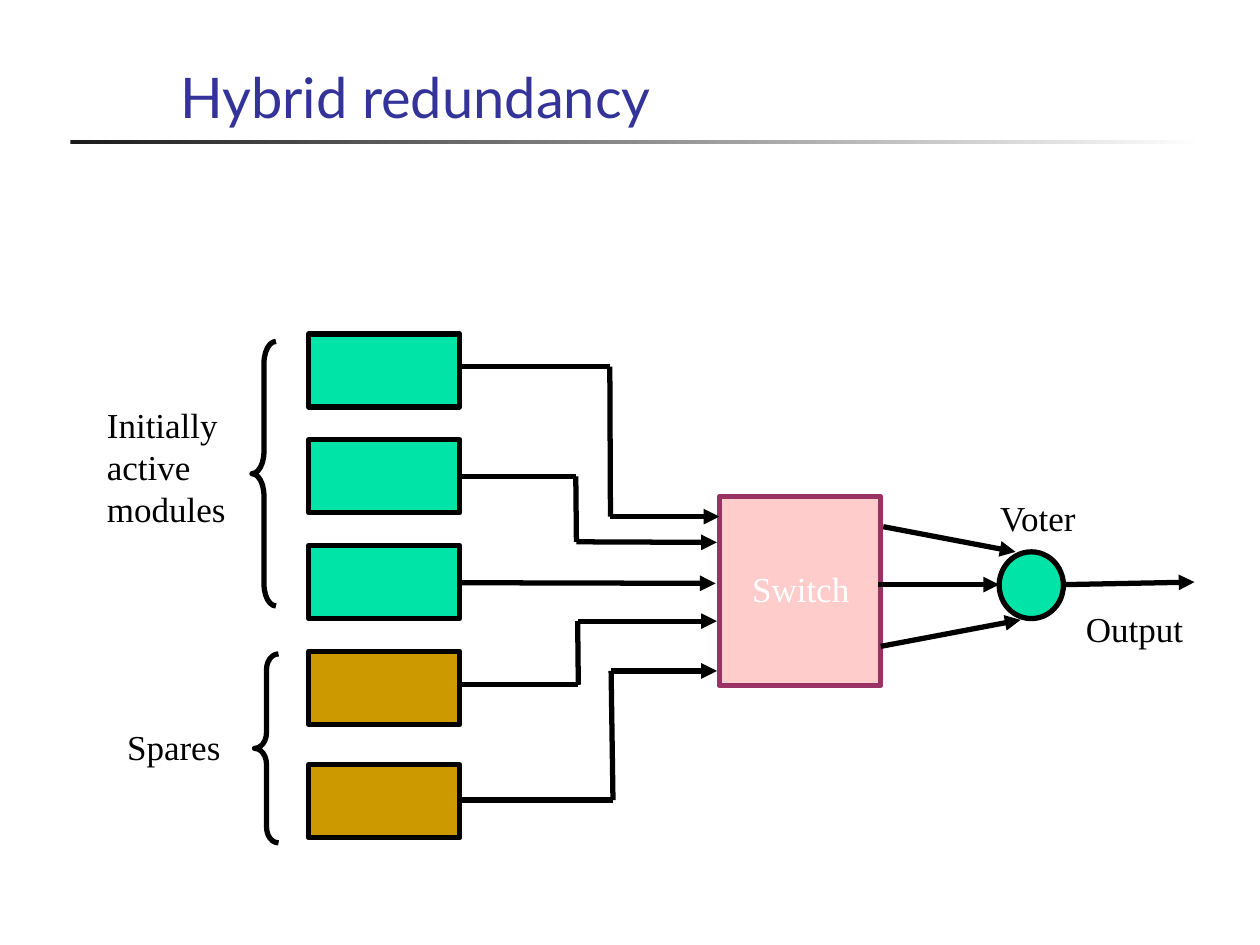
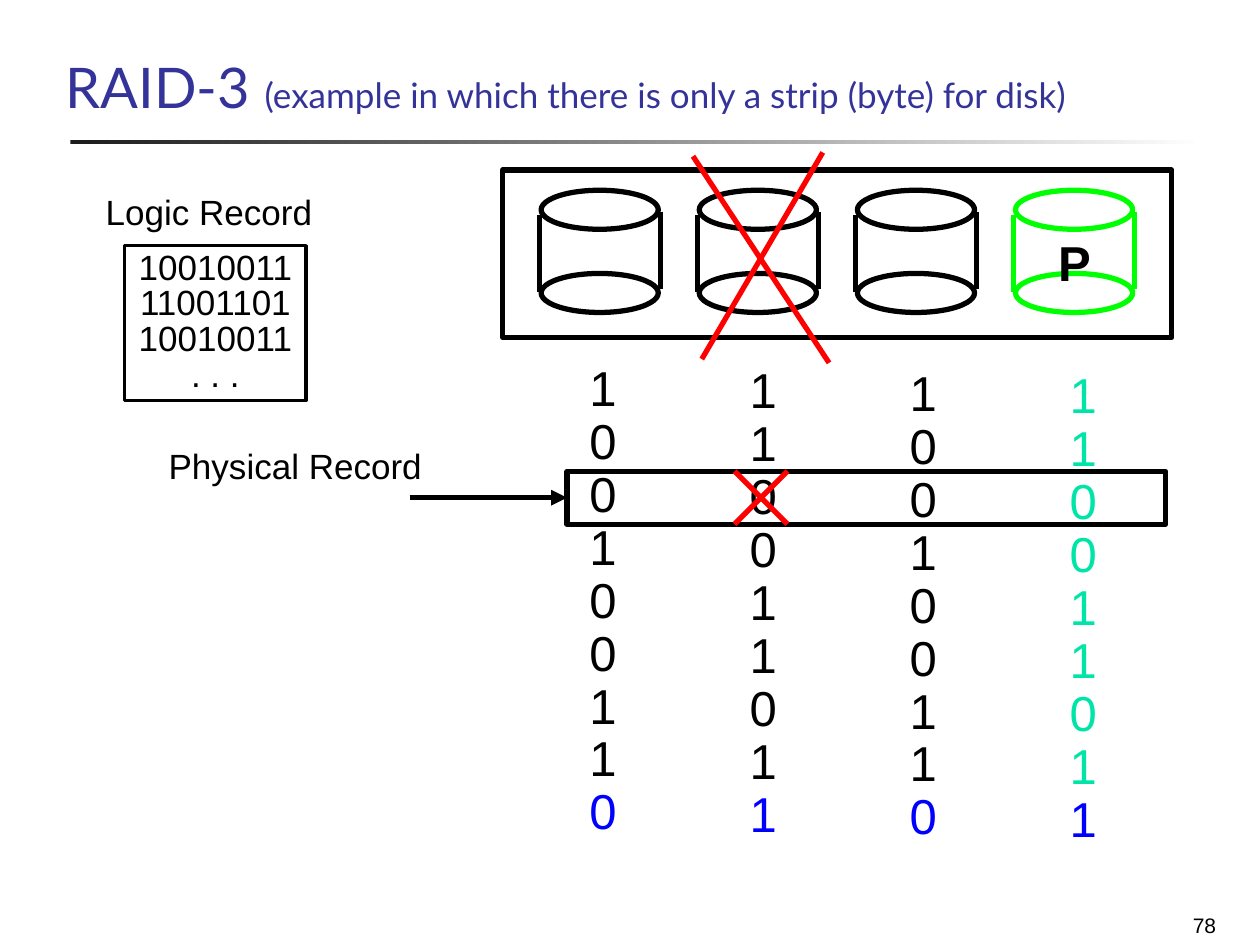
import dataclasses
import itertools
import typing

import lxml.etree
import pptx
import pptx.dml.color
import pptx.enum.shapes
import pptx.enum.text
import pptx.oxml.ns
import pptx.util

# Shared look
COLORS = {
    "title": "333399", "ink": "000000", "white": "FFFFFF", "rule": "1C1C1C",
    "active": "00E4A8", "spare": "CC9900", "switch": "FFCCCC", "switch_edge": "993366",
    "parity": "00FF00", "failed": "FF0000", "last_bit": "0000FF",
}
SANS, SERIF, TITLE = "Arial", "Times New Roman", "Lato"
SHAPES = pptx.enum.shapes.MSO_SHAPE
ALIGN = pptx.enum.text.PP_ALIGN
ANCHOR = pptx.enum.text.MSO_ANCHOR

# Grid: 100 columns by 75 rows
prs = pptx.Presentation()
prs.slide_width, prs.slide_height = pptx.util.Inches(10), pptx.util.Inches(7.5)
COL, ROW = prs.slide_width / 100, prs.slide_height / 75
Point = tuple[float, float]


@dataclasses.dataclass(frozen=True)
class Area:
    """Place on the grid: columns for left and width, rows for top and height."""
    left: float
    top: float
    width: float
    height: float

    def emu(self) -> tuple[int, int, int, int]:
        return (round(self.left * COL), round(self.top * ROW),
                round(self.width * COL), round(self.height * ROW))


@dataclasses.dataclass(frozen=True)
class Style:
    size: float
    font: str
    color: str = "ink"
    bold: bool = False
    align: typing.Any = ALIGN.LEFT
    spacing: float = 1.0


@dataclasses.dataclass(frozen=True)
class Label:
    area: Area
    lines: tuple[str, ...]
    style: Style


SERIF_LABEL = Style(20, SERIF)
SANS_LABEL = Style(20, SANS, spacing=0.85)


def rgb(name: str) -> pptx.dml.color.RGBColor:
    return pptx.dml.color.RGBColor.from_string(COLORS[name])


def apply(obj: typing.Any, values: dict[str, typing.Any]) -> None:
    for name, value in values.items():
        setattr(obj, name, value)


def add_run(p: typing.Any, text: str, style: Style) -> None:
    r = p.add_run()
    r.text = text
    apply(r.font, {"size": pptx.util.Pt(style.size), "name": style.font, "bold": style.bold})
    r.font.color.rgb = rgb(style.color)


def write(tf: typing.Any, lines: typing.Iterable[str], style: Style, last: str = "") -> None:
    """One paragraph a line; last names another colour for the final line."""
    lines = list(lines)
    tf.word_wrap = True
    for i, line in enumerate(lines):
        p = tf.add_paragraph() if i else tf.paragraphs[0]
        apply(p, {"alignment": style.align, "line_spacing": style.spacing})
        final = last and i == len(lines) - 1
        add_run(p, line, dataclasses.replace(style, color=last) if final else style)


def add_label(shapes: typing.Any, label: Label, last: str = "") -> None:
    write(shapes.add_textbox(*label.area.emu()).text_frame, label.lines, label.style, last)


def add_box(shapes: typing.Any, area: Area, fill: str = "", edge: str = "ink",
            kind: typing.Any = SHAPES.RECTANGLE, width: float = 3) -> typing.Any:
    sp = shapes.add_shape(kind, *area.emu())
    sp.shadow.inherit = False
    if fill:
        sp.fill.solid()
        sp.fill.fore_color.rgb = rgb(fill)
    else:
        sp.fill.background()
    sp.line.color.rgb = rgb(edge)
    sp.line.width = pptx.util.Pt(width)
    return sp


def add_wire(shapes: typing.Any, points: typing.Sequence[Point],
             color: str = "ink", arrow: bool = False) -> None:
    """Straight lines through the points, with an arrowhead on the last."""
    for start, end in itertools.pairwise(points):
        x1, y1, x2, y2 = (round(v) for x, y in (start, end) for v in (x * COL, y * ROW))
        line = shapes.add_connector(pptx.enum.shapes.MSO_CONNECTOR.STRAIGHT, x1, y1, x2, y2)
        line.line.color.rgb = rgb(color)
        line.line.width = pptx.util.Pt(3)
        if arrow and end == points[-1]:
            tail = lxml.etree.SubElement(line.line._get_or_add_ln(), pptx.oxml.ns.qn("a:tailEnd"))
            tail.set("type", "triangle")
        lxml.etree.SubElement(line._element.spPr, pptx.oxml.ns.qn("a:effectLst"))


def add_slide(area: Area, title: str, remark: str = "") -> typing.Any:
    """Slide with its title and the fading rule below it."""
    s = prs.slides.add_slide(prs.slide_layouts[5])
    sp = s.shapes.title
    apply(sp, dict(zip(("left", "top", "width", "height"), area.emu())))
    tf = sp.text_frame
    apply(tf, {"vertical_anchor": ANCHOR.BOTTOM, "word_wrap": True,
               "auto_size": pptx.enum.text.MSO_AUTO_SIZE.NONE})
    p = tf.paragraphs[0]
    p.alignment = ALIGN.LEFT
    add_run(p, title, Style(32, TITLE, "title"))
    if remark:
        add_run(p, remark, Style(20, TITLE, "title"))

    rule = add_box(s.shapes, Area(5.6, 11.1, 90, 0.35))
    rule.line.fill.background()
    rule.fill.gradient()
    rule.fill.gradient_angle = 0
    for stop, position, color in zip(rule.fill.gradient_stops, (0, 1), ("rule", "white")):
        stop.position = position
        stop.color.rgb = rgb(color)
    return s


# Slide 1: modules, switch and voter
@dataclasses.dataclass(frozen=True)
class Module:
    top: float
    fill: str
    wire: tuple[Point, ...]


MODULES = (
    Module(26.5, "active", ((36.6, 29.1), (48.4, 29.1), (48.45, 41), (57.1, 41))),
    Module(34.9, "active", ((36.6, 37.8), (45.7, 37.8), (45.75, 43), (56.9, 43.05))),
    Module(43.3, "active", ((36.6, 46.25), (56.8, 46.3))),
    Module(51.7, "spare", ((36.6, 54.35), (45.9, 54.35), (45.85, 49.3), (56.9, 49.3))),
    Module(60.7, "spare", ((36.6, 63.5), (48.65, 63.5), (48.5, 53.25), (56.9, 53.25))),
)
VOTER_WIRES = (
    ((69.7, 46.4), (79.3, 46.4)),
    ((70.1, 41.8), (80.6, 43.8)),
    ((69.9, 51.3), (81, 49.2)),
    ((84.5, 46.4), (94.8, 46.2)),
)
HYBRID_LABELS = (
    Label(Area(7.5, 31.5, 12.6, 11), ("Initially", "active", "modules"), SERIF_LABEL),
    Label(Area(9.1, 57.1, 9.8, 4.4), ("Spares",), SERIF_LABEL),
    Label(Area(57.1, 43.7, 12.9, 5.2), ("Switch",),
          Style(20, SERIF, "white", align=ALIGN.CENTER, spacing=1.25)),
    Label(Area(78.4, 38.9, 8.6, 4.4), ("Voter",), SERIF_LABEL),
    Label(Area(85.2, 47.7, 10, 4.4), ("Output",), SERIF_LABEL),
)
BRACES = ((Area(20, 27.1, 1.9, 21), 0.92), (Area(20.2, 51.9, 1.9, 15), 0.66))


def build_hybrid() -> None:
    shapes = add_slide(Area(13.3, 2.5, 85.2, 8.3), "Hybrid redundancy").shapes
    add_box(shapes, Area(57.1, 39.4, 12.8, 15), "switch", "switch_edge")
    for module in MODULES:
        add_box(shapes, Area(24.5, module.top, 12, 5.8), module.fill)
        add_wire(shapes, module.wire, arrow=True)
    for area, curve in BRACES:
        add_box(shapes, area, kind=SHAPES.LEFT_BRACE).adjustments[0] = curve
    add_box(shapes, Area(79.3, 43.8, 5.1, 5.3), "active", kind=SHAPES.OVAL)
    for wire in VOTER_WIRES:
        add_wire(shapes, wire, arrow=True)
    for label in HYBRID_LABELS:
        add_label(shapes, label)


# Slide 2: disks, records and bit columns
@dataclasses.dataclass(frozen=True)
class Disk:
    bits: str
    edge: str = "ink"
    bit_color: str = "ink"


DISKS = (
    Disk("100100110"),
    Disk("110011011"),
    Disk("100100110"),
    Disk("110011011", "parity", "active"),
)
DISK_PITCH, BITS_PITCH, BITS_DROP = 12.55, 12.7, 0.2
RAID_LABELS = (
    Label(Area(7.4, 15.1, 19.5, 3.8), ("Logic Record",), SANS_LABEL),
    Label(Area(12.4, 35.3, 23.6, 3.8), ("Physical Record",), SANS_LABEL),
    Label(Area(83, 18.7, 5, 4.9), ("P",), Style(28, SANS, bold=True, spacing=0.85)),
    Label(Area(76.7, 71.9, 20.8, 3), ("78",), Style(12, SANS, align=ALIGN.RIGHT)),
)
CROSSES = (
    ((55, 12.4), (65.8, 28.8)), ((65.3, 12.1), (55.7, 28.5)),
    ((58.3, 37.4), (62.5, 41.6)), ((62.5, 37.4), (58.3, 41.6)),
)


def add_disk(shapes: typing.Any, left: float, edge: str) -> None:
    group = shapes.add_group_shape().shapes
    for top in (15.1, 21.7):
        add_box(group, Area(left + 0.15, top, 9.3, 3.1), "white", edge, SHAPES.OVAL)
    for x, top in ((left, 17.1), (left + 9.6, 16.8)):
        add_wire(group, ((x, top), (x, top + 6.1)), edge)


def build_raid() -> None:
    shapes = add_slide(Area(4.2, 1.7, 85.2, 8.3), "RAID-3 ",
                       "(example in which there is only a strip (byte) for disk)").shapes
    for i, disk in enumerate(DISKS):
        add_disk(shapes, 42.8 + i * DISK_PITCH, disk.edge)
        bits = Area(45.8 + i * BITS_PITCH, 28.4 + i * BITS_DROP, 4.5, 38.8)
        add_label(shapes, Label(bits, tuple(disk.bits),
                                Style(28, SANS, disk.bit_color, spacing=0.9)), "last_bit")
    add_box(shapes, Area(39.9, 13.5, 53.1, 13.3))

    record = add_box(shapes, Area(9.9, 19.5, 14.4, 12.3), "white", width=2)
    record.text_frame.vertical_anchor = ANCHOR.MIDDLE
    write(record.text_frame, ("10010011", "11001101", "10010011", ". . ."),
          dataclasses.replace(SANS_LABEL, align=ALIGN.CENTER))
    for label in RAID_LABELS:
        add_label(shapes, label)

    add_box(shapes, Area(45, 37.4, 47.5, 4.2))
    add_wire(shapes, ((32.5, 39.5), (45, 39.5)), arrow=True)
    for cross in CROSSES:
        add_wire(shapes, cross, "failed")


def main() -> None:
    build_hybrid()
    build_raid()
    prs.save("out.pptx")


if __name__ == "__main__":
    main()
